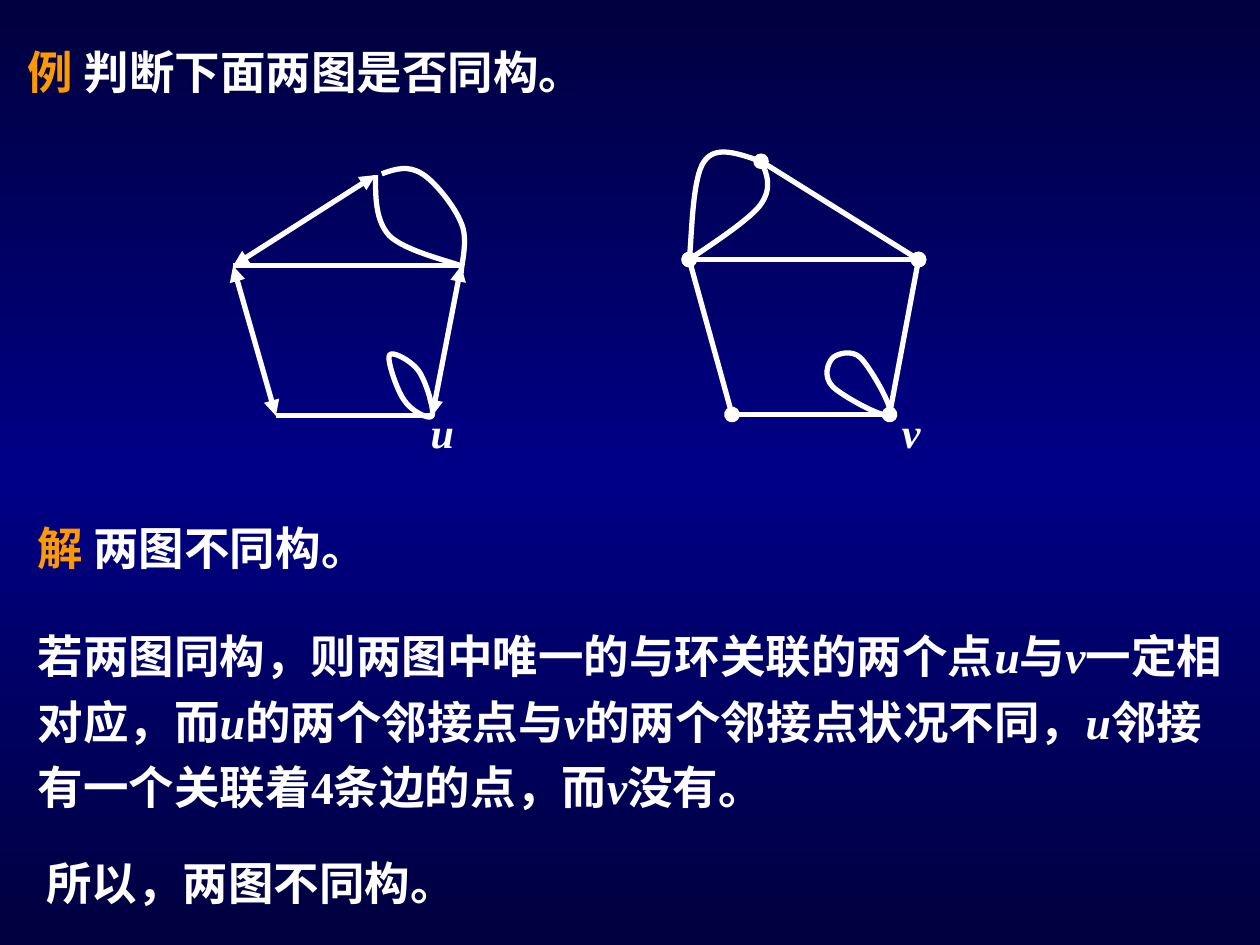
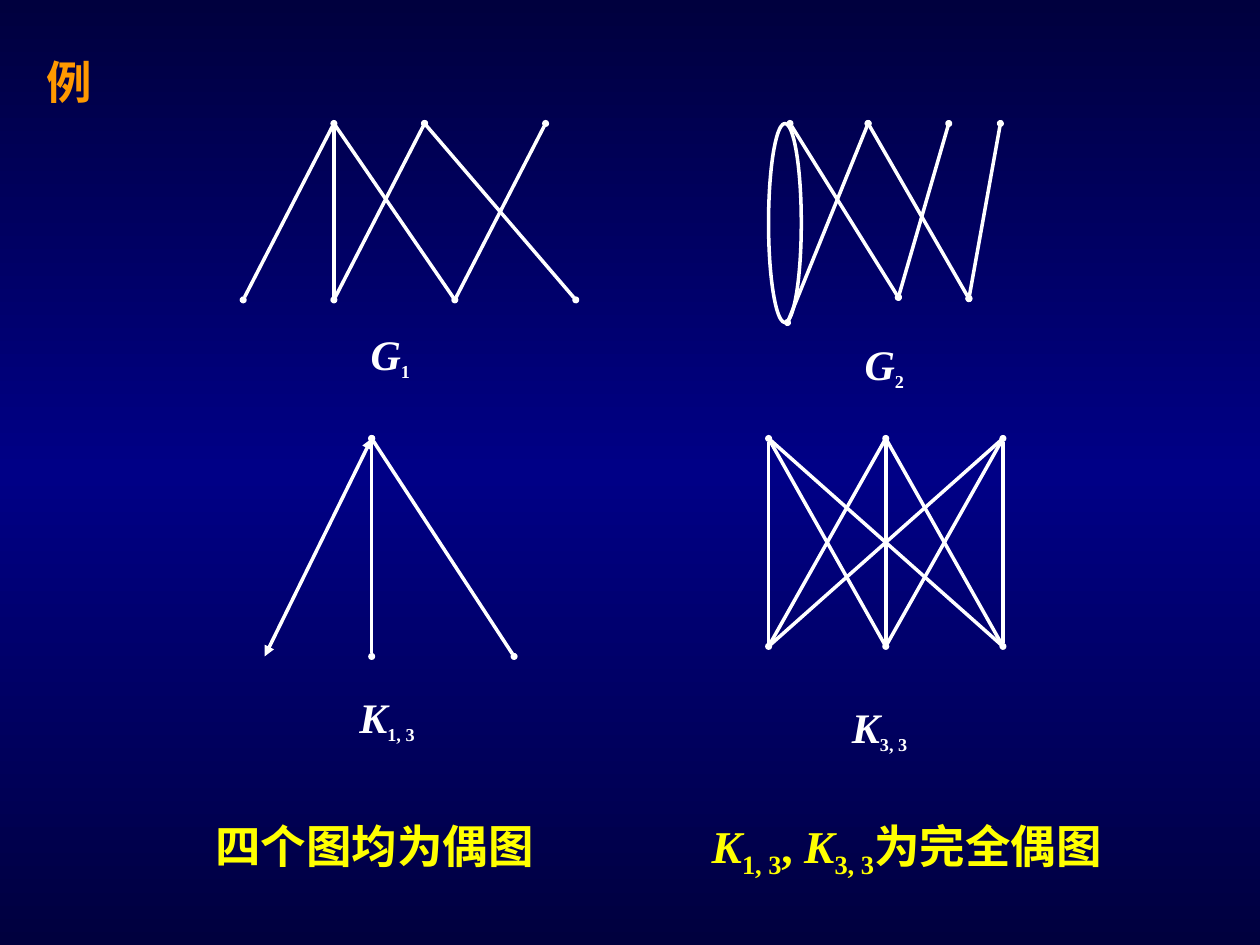
"""Build two slides on graph isomorphism and bipartite graphs."""
import copy

import pptx
import pptx.dml.color
import pptx.enum.shapes
import pptx.enum.text
import pptx.oxml.ns
import pptx.util
from pptx.oxml.ns import qn
from pptx.util import Inches

WHITE = pptx.dml.color.RGBColor(0xFF, 0xFF, 0xFF)
ORANGE = pptx.dml.color.RGBColor(0xFF, 0x99, 0x00)
YELLOW = pptx.dml.color.RGBColor(0xFF, 0xFF, 0x00)
NAVY = pptx.dml.color.RGBColor(0x00, 0x00, 0x3E)
BLUE = pptx.dml.color.RGBColor(0x00, 0x00, 0x86)
HAN = "Noto Sans CJK SC"
ROMAN = "Times New Roman"
TITLE_ONLY = 5
ARROW = {"type": "triangle"}
DOT = {"type": "oval"}
SMALL_DOT = {"type": "oval", "w": "sm", "len": "sm"}


def paint_background(master):
    """Give the master a vertical gradient, dark at both edges."""
    fill = master.background.fill
    fill.gradient()
    fill.gradient_angle = 270
    stop_list = master.element.find(".//" + qn("a:gsLst"))
    stop_list.append(copy.deepcopy(stop_list[0]))
    for stop, position, color in zip(fill.gradient_stops, (0, 0.5, 1), (NAVY, BLUE, NAVY)):
        stop.position = position
        stop.color.rgb = color


def add_span(para, text, font=HAN, italic=None, sub=None, size=None, color=None):
    """Append a run with its own font, slant, subscript, size and colour."""
    span = para.add_run()
    span.text = text
    span.font.name = font
    span.font.italic = italic
    if size:
        span.font.size = pptx.util.Pt(size)
    if color is not None:
        span.font.color.rgb = color
    properties = span._r.get_or_add_rPr()
    east_asian = properties.makeelement(qn("a:ea"), {"typeface": HAN})
    properties.find(qn("a:latin")).addnext(east_asian)
    if sub:
        properties.set("baseline", "-25000")


def write(box, spans, size=26, color=WHITE, spacing=None):
    """Fill a box with one left-aligned bold paragraph made of spans."""
    frame = box.text_frame
    frame.word_wrap = True
    frame.auto_size = pptx.enum.text.MSO_AUTO_SIZE.NONE
    frame.vertical_anchor = pptx.enum.text.MSO_ANCHOR.TOP
    para = frame.paragraphs[0]
    para.alignment = pptx.enum.text.PP_ALIGN.LEFT
    para.line_spacing = spacing
    para.font.size = pptx.util.Pt(size)
    para.font.bold = True
    para.font.color.rgb = color
    for span in spans:
        add_span(para, **span)


def add_text(page, place, spans, **style):
    """Add a text box at left, top, width, height in inches."""
    write(page.shapes.add_textbox(*map(Inches, place)), spans, **style)


def set_title(page, place, spans, **style):
    """Move the title placeholder and write the title."""
    title = page.shapes.title
    title.left, title.top, title.width, title.height = map(Inches, place)
    write(title, spans, **style)


def han(text, **style):
    """Describe a run of upright text."""
    return dict(text=text, **style)


def symbol(letter):
    """Describe an italic mathematical symbol."""
    return dict(text=letter, font=ROMAN, italic=True)


def index(text, size=None):
    """Describe a subscript."""
    return dict(text=text, font=ROMAN, sub=True, size=size)


def name_vertex(graph, left, top, width, letter):
    """Write the letter of a vertex."""
    add_text(graph, (left, top, width, 0.5), [symbol(letter)], size=24)


def name_graph(page, left, top, width, letter, subscript):
    """Write the name of a graph with its subscript."""
    add_text(page, (left, top, width, 0.53),
             [han(" ", font=ROMAN), symbol(letter), index(subscript, size=18)], size=24)


def style_line(line, weight):
    """Make a line white with the given weight in points."""
    line.color.rgb = WHITE
    line.width = pptx.util.Pt(weight)


def add_edges(graph, points, pairs, weight, ends=None):
    """Join pairs of named points, with the same mark at both ends."""
    for start, finish in pairs:
        edge = graph.shapes.add_connector(
            pptx.enum.shapes.MSO_CONNECTOR.STRAIGHT,
            *map(Inches, points[start] + points[finish]))
        style_line(edge.line, weight)
        properties = edge._element.spPr
        if ends:
            outline = properties.find(qn("a:ln"))
            for end in ("a:headEnd", "a:tailEnd"):
                outline.append(outline.makeelement(qn(end), ends))
        properties.append(properties.makeelement(qn("a:effectLst"), {}))


def add_curve(graph, *knots, close=False):
    """Draw a chain of cubic curves through a start and triples of points."""
    corners = [tuple(map(Inches, knot)) for knot in knots]
    builder = graph.shapes.build_freeform(*corners[0])
    builder.add_line_segments(corners[1:], close=close)
    curve = builder.convert_to_shape()
    segments = curve._element.findall(".//" + qn("a:lnTo"))
    for first in range(0, len(segments), 3):
        bend = segments[first].makeelement(qn("a:cubicBezTo"), {})
        segments[first].addprevious(bend)
        for segment in segments[first:first + 3]:
            bend.append(segment[0])
            segment.getparent().remove(segment)
    curve.fill.background()
    curve.shadow.inherit = False
    style_line(curve.line, 3)


def add_left_pentagon(page):
    """Draw the graph with the loop at u."""
    graph = page.shapes.add_group_shape()
    points = dict(top=(2.98, 1.39), left=(1.85, 2.11), right=(3.66, 2.11),
                  foot=(2.19, 3.3), u=(3.43, 3.3))
    add_edges(graph, points, [("top", "left")], 3, ARROW)
    add_edges(graph, points, [("left", "right")], 3)
    add_edges(graph, points, [("left", "foot")], 3, ARROW)
    add_edges(graph, points, [("foot", "u")], 3)
    add_edges(graph, points, [("right", "u")], 3, ARROW)
    add_curve(graph, points["top"], (2.98, 1.57), (2.98, 1.75), (3.09, 1.87),
              (3.21, 1.99), (3.56, 2.07), points["right"])
    add_curve(graph, (3.03, 1.38), (3.14, 1.34), (3.24, 1.31), (3.35, 1.38),
              (3.45, 1.44), (3.61, 1.64), (3.66, 1.77), (3.72, 1.9), (3.66, 2.1), (3.66, 2.17))
    add_curve(graph, points["u"], (3.41, 3.34), (3.26, 3.26), (3.21, 3.18),
              (3.15, 3.1), (3.07, 2.86), (3.09, 2.82), (3.11, 2.78), (3.26, 2.86), (3.32, 2.94),
              (3.38, 3.02), (3.45, 3.26), points["u"], close=True)
    name_vertex(graph, 3.32, 3.18, 0.58, "u")


def add_right_pentagon(page):
    """Draw the graph with the loop at v."""
    graph = page.shapes.add_group_shape()
    points = dict(top=(6.04, 1.28), left=(5.47, 2.06), right=(7.29, 2.06),
                  foot=(5.81, 3.29), v=(7.06, 3.29))
    add_edges(graph, points, [("left", "right"), ("top", "right"), ("left", "foot"),
                              ("right", "v")], 3, DOT)
    add_edges(graph, points, [("foot", "v")], 3)
    add_curve(graph, points["top"], (5.86, 1.22), (5.68, 1.15), (5.59, 1.28),
              (5.49, 1.41), (5.49, 1.93), points["left"])
    add_curve(graph, points["top"], (6.09, 1.38), (6.13, 1.49), (6.04, 1.62),
              (5.95, 1.75), (5.57, 1.99), points["left"])
    add_curve(graph, points["v"], (7.02, 3.33), (6.68, 3.14), (6.61, 3.07),
              (6.53, 2.99), (6.57, 2.88), (6.61, 2.84), (6.64, 2.81), (6.76, 2.77), (6.83, 2.84),
              (6.91, 2.92), (7.1, 3.25), points["v"], close=True)
    name_vertex(graph, 7.06, 3.18, 0.93, "v")


def add_isomorphism_slide(deck):
    """Ask whether two graphs are isomorphic and answer."""
    page = deck.slides.add_slide(deck.slide_layouts[TITLE_ONLY])
    set_title(page, (0.12, 0.21, 9, 0.62),
              [han("例 ", color=ORANGE), han("判断下面两图是否同构。")], spacing=1.2)
    add_left_pentagon(page)
    add_right_pentagon(page)
    add_text(page, (0.2, 3.99, 9, 0.62),
             [han("解 ", color=ORANGE), han("两图不同构。")], spacing=1.2)
    u, v = symbol("u"), symbol("v")
    add_text(page, (0.2, 4.85, 9.65, 1.66), [
        han("若两图同构，则两图中唯一的与环关联的两个点"), u, han("与"), v,
        han("一定相对应，而"), u, han("的两个邻接点与"), v,
        han("的两个邻接点状况不同，"), u, han("邻接有一个关联着"),
        han("4条边的", font=ROMAN), han("点，而"), v, han("没有。")], spacing=1.2)
    add_text(page, (0.27, 6.74, 4.1, 0.54), [han("所以，两图不同构。", font=ROMAN)])


def row(names, lefts, top):
    """Name points that share one height."""
    return {name: (left, top) for name, left in zip(names, lefts)}


def add_complete_graphs(page):
    """Draw the star and the complete bipartite graph on six vertices."""
    name_graph(page, 6.58, 5.52, 1.13, "K", "3, 3")
    name_graph(page, 2.67, 5.44, 1.13, "K", "1, 3")

    star = page.shapes.add_group_shape()
    points = row("a", [2.95], 3.48) | row("xyz", (2.1, 2.95, 4.08), 5.21)
    add_edges(star, points, ["ax"], 2, ARROW)
    add_edges(star, points, ("az", "ay"), 2, SMALL_DOT)

    complete = page.shapes.add_group_shape()
    columns = [6.1 + 0.93 * column for column in range(3)]
    points = row("abc", columns, 3.48) | row("xyz", columns, 5.13)
    add_edges(complete, points, ("ax", "by", "cz"), 2, SMALL_DOT)
    add_edges(complete, points, ("ay", "az", "xb", "xc", "yc", "bz"), 2)


def add_sparse_graphs(page):
    """Draw the two bipartite graphs that are not complete."""
    first = page.shapes.add_group_shape()
    points = row("abc", (2.65, 3.37, 4.33), 0.98) | row("wxyz", (1.93, 2.65, 3.61, 4.57), 2.38)
    add_edges(first, points, ("aw", "bx", "cy", "bz"), 2, SMALL_DOT)
    add_edges(first, points, ("ax", "ay"), 2)
    name_graph(first, 2.76, 2.56, 1.13, "G", "1")

    second = page.shapes.add_group_shape()
    points = row("abcd", (6.27, 6.89, 7.53, 7.94), 0.98)
    points |= dict(x=(6.25, 2.56), y=(7.13, 2.36), z=(7.69, 2.37))
    add_edges(second, points, ("ay", "dz", "cy", "bz", "bx"), 2, SMALL_DOT)
    double_edge = second.shapes.add_shape(
        pptx.enum.shapes.MSO_SHAPE.OVAL, *map(Inches, (6.1, 0.98, 0.26, 1.58)))
    double_edge.fill.background()
    double_edge.shadow.inherit = False
    style_line(double_edge.line, 2)
    name_graph(second, 6.68, 2.64, 0.75, "G", "2")


def add_bipartite_slide(deck):
    """Show four bipartite graphs, two of them complete."""
    page = deck.slides.add_slide(deck.slide_layouts[TITLE_ONLY])
    set_title(page, (0.27, 0.38, 0.79, 0.54), [han("例", font=ROMAN)], color=ORANGE)
    add_complete_graphs(page)
    add_sparse_graphs(page)
    add_text(page, (1.61, 6.44, 3.08, 0.54), [han("四个图均为偶图", font=ROMAN)], color=YELLOW)
    add_text(page, (5.55, 6.44, 3.53, 0.6), [
        symbol("K"), index("1, 3"), han(", ", font=ROMAN), symbol("K"), index("3, 3"),
        han("为完全偶图")], color=YELLOW)


def main():
    """Build and save the deck."""
    deck = pptx.Presentation()
    deck.slide_width, deck.slide_height = Inches(10), Inches(7.5)
    paint_background(deck.slide_master)
    add_isomorphism_slide(deck)
    add_bipartite_slide(deck)
    deck.save("out.pptx")


if __name__ == "__main__":
    main()
